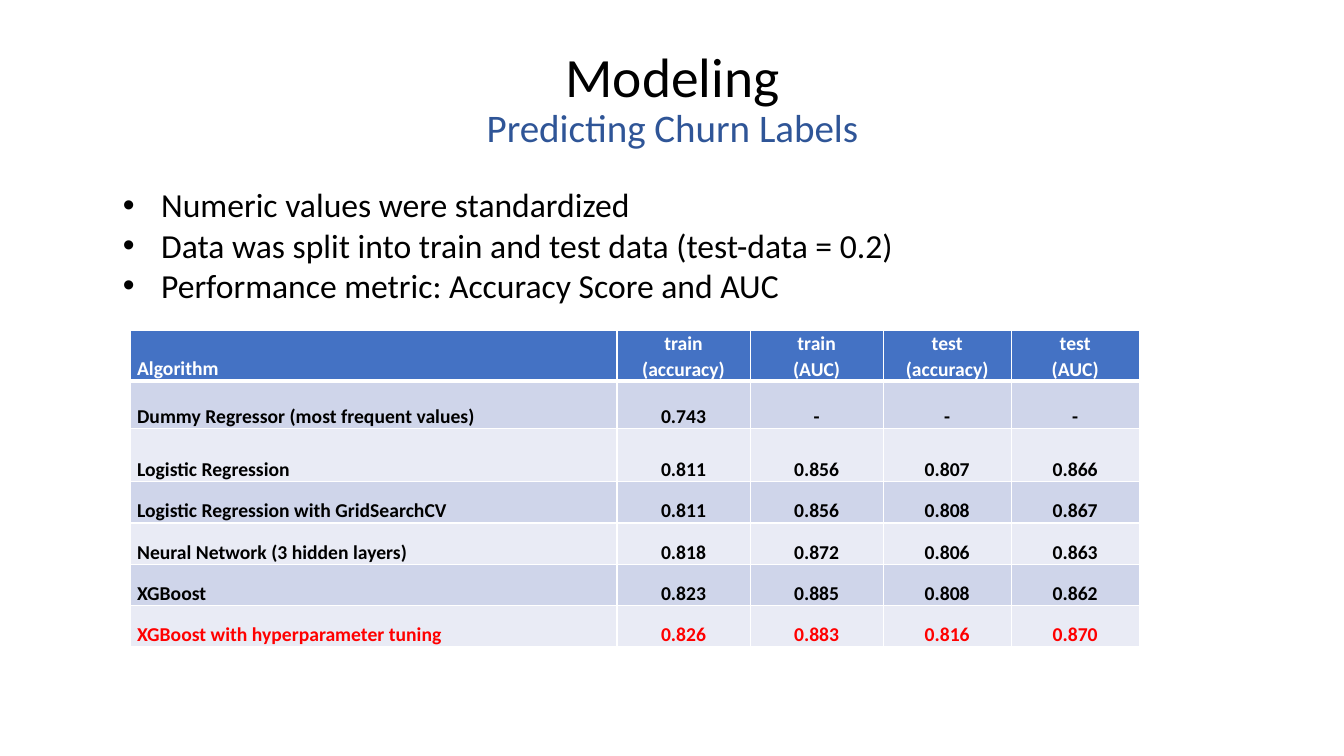
"""Build the churn modeling slide with its bullet points and model score table."""

import dataclasses
import typing

import pptx
import pptx.dml.color
import pptx.enum.text
import pptx.oxml
import pptx.oxml.ns
import pptx.util

EMU_PER_PX = 9144


@dataclasses.dataclass(frozen=True)
class Theme:
    font: str = "Calibri"
    ink: str = "000000"
    accent: str = "2F5597"
    white: str = "FFFFFF"
    header: str = "4472C4"
    bands: tuple[str, str] = ("CFD5EA", "E9EBF5")
    best: str = "FF0000"
    title_size: float = 39.6
    subtitle_size: float = 27.9
    body_size: float = 24
    table_size: float = 14
    thin_line: float = 1
    thick_line: float = 3


class Area(typing.NamedTuple):
    left: int
    top: int
    width: int
    height: int


class Score(typing.NamedTuple):
    algorithm: str
    train_accuracy: str
    train_auc: str
    test_accuracy: str
    test_auc: str


THEME = Theme()
PAGE_SIZE = (1333, 750)
TITLE_AREA = Area(92, 40, 1150, 119)
BULLET_AREA = Area(112, 178, 962, 131)
BULLET_INDENT = 38
COLUMN_WIDTHS = (483, 132, 132, 127, 127)
ROW_HEIGHTS = (47, 47, 53, 41, 41, 41, 41)
TABLE_AREA = Area(129, 328, sum(COLUMN_WIDTHS), sum(ROW_HEIGHTS))
CELL_INSET = 7

BULLETS = (
    "Numeric values were standardized",
    "Data was split into train and test data (test-data = 0.2)",
    "Performance metric: Accuracy Score and AUC",
)
SCORES = (
    Score("Algorithm", "train\n(accuracy)", "train\n(AUC)", "test\n(accuracy)", "test\n(AUC)"),
    Score("Dummy Regressor (most frequent values)", "0.743", "-", "-", "-"),
    Score("Logistic Regression", "0.811", "0.856", "0.807", "0.866"),
    Score("Logistic Regression with GridSearchCV", "0.811", "0.856", "0.808", "0.867"),
    Score("Neural Network (3 hidden layers)", "0.818", "0.872", "0.806", "0.863"),
    Score("XGBoost", "0.823", "0.885", "0.808", "0.862"),
    Score("XGBoost with hyperparameter tuning", "0.826", "0.883", "0.816", "0.870"),
)


def px(length: int) -> pptx.util.Emu:
    return pptx.util.Emu(length * EMU_PER_PX)


def rgb(color: str) -> pptx.dml.color.RGBColor:
    return pptx.dml.color.RGBColor.from_string(color)


def style_span(span, size: float, color: str, bold: bool = False) -> None:
    span.font.name = THEME.font
    span.font.size = pptx.util.Pt(size)
    span.font.bold = bold
    span.font.color.rgb = rgb(color)


def add_text(page, area: Area, text: str):
    frame = page.shapes.add_textbox(*map(px, area)).text_frame
    frame.word_wrap = True
    frame.text = text
    return frame


def add_title(page) -> None:
    frame = add_text(page, TITLE_AREA, "Modeling\vPredicting Churn Labels")
    frame.vertical_anchor = pptx.enum.text.MSO_ANCHOR.MIDDLE
    para = frame.paragraphs[0]
    para.alignment = pptx.enum.text.PP_ALIGN.CENTER
    para.line_spacing = 0.9
    title, subtitle = para.runs
    style_span(title, THEME.title_size, THEME.ink)
    style_span(subtitle, THEME.subtitle_size, THEME.accent)


def add_bullets(page) -> None:
    frame = add_text(page, BULLET_AREA, "\n".join(BULLETS))
    for para in frame.paragraphs:
        style_span(para.runs[0], THEME.body_size, THEME.ink)
        properties = para._p.get_or_add_pPr()
        properties.set("marL", str(px(BULLET_INDENT)))
        properties.set("indent", str(-px(BULLET_INDENT)))
        namespace = pptx.oxml.ns.nsdecls("a")
        for markup in (
            f'<a:buFont {namespace} typeface="Arial"/>',
            f'<a:buChar {namespace} char="•"/>',
        ):
            properties.append(pptx.oxml.parse_xml(markup))


def add_borders(cell, top: float, bottom: float) -> None:
    widths = {"lnL": THEME.thin_line, "lnR": THEME.thin_line, "lnT": top, "lnB": bottom}
    for side, width in widths.items():
        cell._tc.get_or_add_tcPr().append(pptx.oxml.parse_xml(
            f'<a:{side} {pptx.oxml.ns.nsdecls("a")} w="{pptx.util.Pt(width)}">'
            f'<a:solidFill><a:srgbClr val="{THEME.white}"/></a:solidFill></a:{side}>'
        ))


def fill_cell(cell, text: str, row: int, column: int) -> None:
    add_borders(
        cell,
        THEME.thick_line if row == 1 else THEME.thin_line,
        THEME.thick_line if row == 0 else THEME.thin_line,
    )
    cell.fill.solid()
    cell.fill.fore_color.rgb = rgb(THEME.bands[(row - 1) % 2] if row else THEME.header)
    cell.vertical_anchor = pptx.enum.text.MSO_ANCHOR.BOTTOM
    cell.margin_left = cell.margin_right = px(CELL_INSET)
    cell.margin_top = cell.margin_bottom = 0
    cell.text_frame.text = text
    color = {0: THEME.white, len(SCORES) - 1: THEME.best}.get(row, THEME.ink)
    for para in cell.text_frame.paragraphs:
        para.line_spacing = 1.07
        if column:
            para.alignment = pptx.enum.text.PP_ALIGN.CENTER
        style_span(para.runs[0], THEME.table_size, color, bold=True)


def add_score_table(page) -> None:
    table = page.shapes.add_table(
        len(SCORES), len(COLUMN_WIDTHS), *map(px, TABLE_AREA)
    ).table
    table.horz_banding = False
    for column, width in zip(table.columns, COLUMN_WIDTHS):
        column.width = px(width)
    for row, height in zip(table.rows, ROW_HEIGHTS):
        row.height = px(height)
    for row_index, score in enumerate(SCORES):
        for column_index, text in enumerate(score):
            fill_cell(table.cell(row_index, column_index), text, row_index, column_index)


def main() -> None:
    deck = pptx.Presentation()
    deck.slide_width, deck.slide_height = map(px, PAGE_SIZE)
    page = deck.slides.add_slide(deck.slide_layouts[6])
    add_title(page)
    add_score_table(page)
    add_bullets(page)
    deck.save("out.pptx")


if __name__ == "__main__":
    main()
